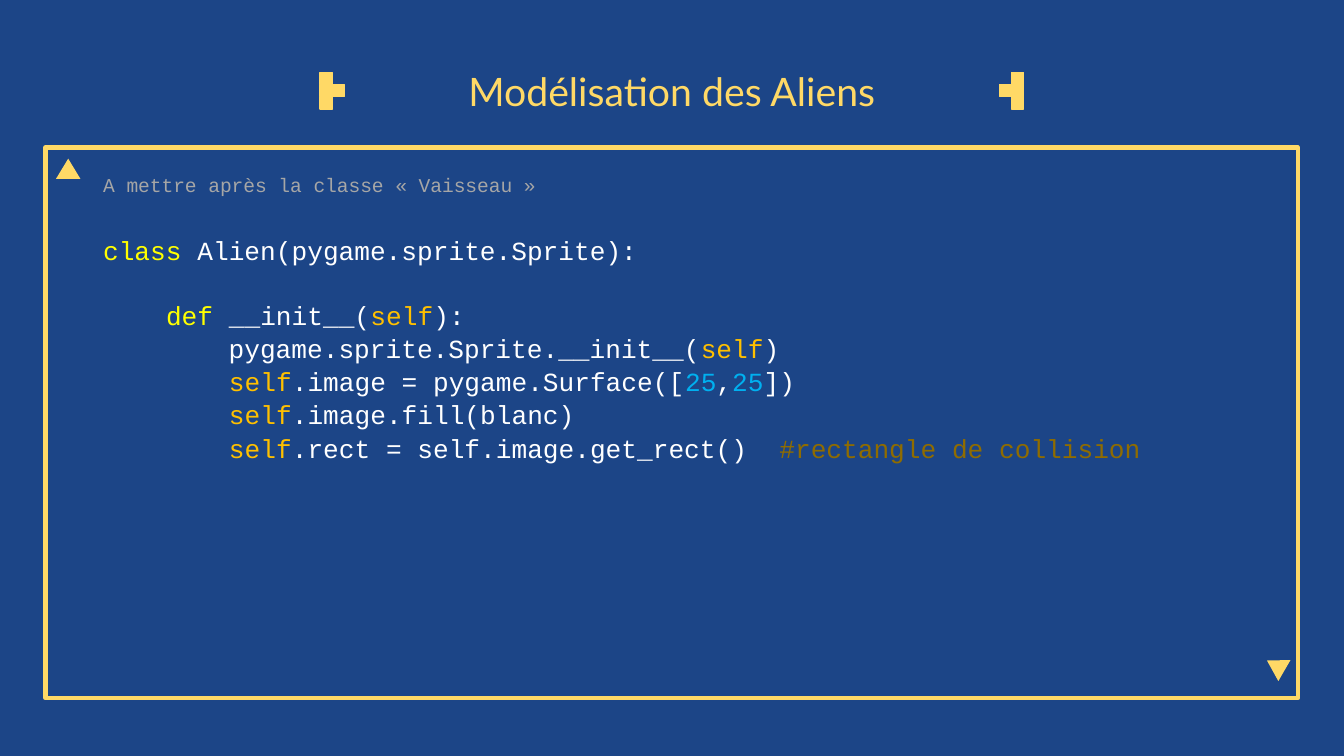
from dataclasses import dataclass

import pptx
import pptx.dml.color
import pptx.enum.shapes
import pptx.enum.text
import pptx.oxml.ns
import pptx.util
from lxml import etree

Cm, Pt = pptx.util.Cm, pptx.util.Pt
Shape = pptx.enum.shapes.MSO_SHAPE


@dataclass(frozen=True)
class Theme:
    background: str = "1C4587"
    accent: str = "FFD966"
    note: str = "A6A6A6"
    plain: str = "FFFFFF"
    keyword: str = "FFFF00"
    self_name: str = "FFC000"
    number: str = "00B0F0"
    comment: str = "8F6C00"
    title_font: str = "Lato"
    code_font: str = "Courier New"
    title_size: float = 21
    note_size: float = 10.5
    code_size: float = 14
    code_spacing: float = 1.06


@dataclass(frozen=True)
class Box:
    """A region of the slide, in centimetres."""
    left: float
    top: float
    width: float
    height: float

    def lengths(self):
        return [Cm(n) for n in (self.left, self.top, self.width, self.height)]


THEME = Theme()
SLIDE_WIDTH, SLIDE_HEIGHT = 25.4, 14.29
FRAME = Box(0.86, 2.79, 23.67, 10.41)
TITLE = Box(0.86, 0.81, 23.67, 1.6)
CODE = Box(1.7, 3, 22.12, 9.86)
INSET = 0.25
PIXEL = 0.23
BRACKET_LEFT = 6.05
BRACKET_TOP = 1.37
BRACKET_CELLS = ((0, 0), (0, 1), (0, 2), (1, 1))

# Each line: space before in points, then its (text, theme colour) spans.
SELF = ("self", "self_name")
STEP = "    "
NOTE_LINE = (0, [("A mettre après la classe «\u00a0Vaisseau\u00a0»".replace("\u00a0", " "), "note")])
CODE_LINES = (
    (19.2, [("class", "keyword"), (" Alien(pygame.sprite.Sprite):", "plain")]),
    (16.8, [(STEP, "plain"), ("def", "keyword"), (" __init__(", "plain"), SELF, ("):", "plain")]),
    (0, [(STEP * 2 + "pygame.sprite.Sprite.__init__(", "plain"), SELF, (")", "plain")]),
    (0, [(STEP * 2, "plain"), SELF, (".image = pygame.Surface([", "plain"), ("25", "number"),
         (",", "plain"), ("25", "number"), ("])", "plain")]),
    (0, [(STEP * 2, "plain"), SELF, (".image.fill(blanc)", "plain")]),
    (0, [(STEP * 2, "plain"), SELF, (".rect = self.image.get_rect()  ", "plain"),
         ("#rectangle de collision", "comment")]),
)


def color(value):
    return pptx.dml.color.RGBColor.from_string(value)


def add_solid(shapes, kind, box, line_width=0):
    """Add a shape filled with the accent colour, outlined if a width is given."""
    shape = shapes.add_shape(kind, *box.lengths())
    shape.shadow.inherit = False
    shape.fill.solid()
    shape.fill.fore_color.rgb = color(THEME.accent)
    if line_width:
        shape.line.color.rgb = color(THEME.accent)
        shape.line.width = Pt(line_width)
    else:
        shape.line.fill.background()
    return shape


def prepare_frame(text_frame):
    text_frame.word_wrap = True
    text_frame.auto_size = pptx.enum.text.MSO_AUTO_SIZE.NONE
    text_frame.margin_left = text_frame.margin_right = Cm(INSET)
    text_frame.margin_top = text_frame.margin_bottom = Cm(INSET)


def place_title(page, box):
    title = page.shapes.title
    title.left, title.top, title.width, title.height = box.lengths()
    prepare_frame(title.text_frame)
    title.text_frame.vertical_anchor = pptx.enum.text.MSO_ANCHOR.BOTTOM
    title.text_frame.text = "Modélisation des Aliens"
    para = title.text_frame.paragraphs[0]
    para.alignment = pptx.enum.text.PP_ALIGN.CENTER
    para.font.name = THEME.title_font
    para.font.size = Pt(THEME.title_size)
    para.font.color.rgb = color(THEME.accent)


def add_brackets(page):
    """Flank the title with two mirrored pixel brackets."""
    for mirrored in (False, True):
        group = page.shapes.add_group_shape()
        for column, row in BRACKET_CELLS:
            left = BRACKET_LEFT + column * PIXEL
            if mirrored:
                left = SLIDE_WIDTH - left - PIXEL
            cell = Box(left, BRACKET_TOP + row * PIXEL, PIXEL, PIXEL)
            add_solid(group.shapes, Shape.RECTANGLE, cell, 0.75)


def add_panel(page, box):
    """Draw the frame with a scroll arrow in two opposite corners."""
    frame = add_solid(page.shapes, Shape.RECTANGLE, box, 2.25)
    frame.fill.background()
    etree.SubElement(frame.line._get_or_add_ln(), pptx.oxml.ns.qn("a:round"))
    width, height = 0.46, 0.38
    up = Box(box.left + 0.2, box.top + 0.21, width, height)
    down = Box(box.left + box.width - 0.65, box.top + box.height - 0.81, width, height)
    add_solid(page.shapes, Shape.ISOSCELES_TRIANGLE, up)
    add_solid(page.shapes, Shape.ISOSCELES_TRIANGLE, down).rotation = 300


def add_code(page, box):
    text_frame = page.shapes.add_textbox(*box.lengths()).text_frame
    prepare_frame(text_frame)
    for index, (space, spans) in enumerate((NOTE_LINE, *CODE_LINES)):
        para = text_frame.add_paragraph() if index else text_frame.paragraphs[0]
        para.line_spacing = THEME.code_spacing
        para.space_before = Pt(space)
        para.font.name = THEME.code_font
        para.font.size = Pt(THEME.code_size if index else THEME.note_size)
        for text, role in spans:
            span = para.add_run()
            span.text = text
            span.font.color.rgb = color(getattr(THEME, role))


def main():
    deck = pptx.Presentation()
    deck.slide_width, deck.slide_height = Cm(SLIDE_WIDTH), Cm(SLIDE_HEIGHT)
    page = deck.slides.add_slide(deck.slide_layouts.get_by_name("Title Only"))
    page.background.fill.solid()
    page.background.fill.fore_color.rgb = color(THEME.background)
    add_panel(page, FRAME)
    place_title(page, TITLE)
    add_code(page, CODE)
    add_brackets(page)
    deck.save("out.pptx")


if __name__ == "__main__":
    main()
